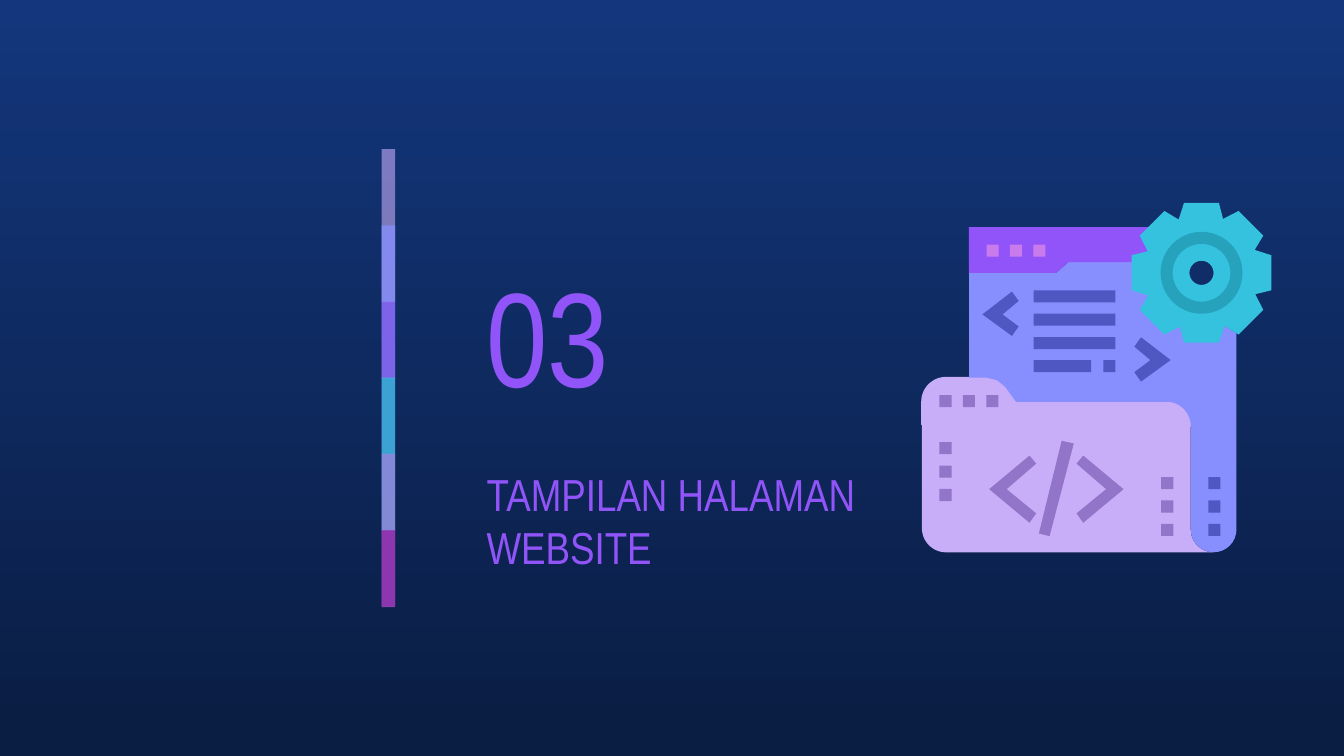
"""Build a section slide with a coloured bar, a numbered heading and a code folder illustration."""
from math import cos, radians, sin

from lxml import etree
from pptx import Presentation
from pptx.dml.color import RGBColor
from pptx.enum import shapes, text
from pptx.oxml.ns import qn
from pptx.util import Inches, Pt

NIGHT_TOP = RGBColor(0x13, 0x36, 0x7C)
NIGHT_BOTTOM = RGBColor(0x0A, 0x1D, 0x42)
LILAC = RGBColor(0xC8, 0xAE, 0xF8)
PERIWINKLE = RGBColor(0x87, 0x8F, 0xFF)
VIOLET = RGBColor(0x91, 0x54, 0xF8)
CYAN = RGBColor(0x35, 0xC2, 0xDF)
TEAL = RGBColor(0x26, 0xA2, 0xBC)
PINK = RGBColor(0xCA, 0x7B, 0xEB)
MAGENTA = RGBColor(0x97, 0x2C, 0xB4)
INDIGO = RGBColor(0x4F, 0x57, 0xC3)
PLUM = RGBColor(0x92, 0x75, 0xC8)


def paint(shape, color):
    shape.shadow.inherit = False
    shape.fill.solid()
    shape.fill.fore_color.rgb = color
    shape.line.fill.background()
    return shape


def arc(x, y, radius, start, end, steps=16):
    angles = [radians(start + (end - start) * i / steps) for i in range(steps + 1)]
    return [(x + radius * cos(a), y + radius * sin(a)) for a in angles]


deck = Presentation()
deck.slide_width = Inches(10)
deck.slide_height = deck.slide_width * 9 // 16
slide = deck.slides.add_slide(deck.slide_layouts[0])
night = slide.background.fill
night.gradient()
night.gradient_angle = 270
for stop, color, position in zip(night.gradient_stops, (NIGHT_TOP, NIGHT_BOTTOM), (0, 1)):
    stop.color.rgb = color
    stop.position = position

bands = [(LILAC, 59), (PERIWINKLE, 74), (VIOLET, 53), (CYAN, 76), (PINK, 56), (MAGENTA, 74)]
for i, (color, opacity) in enumerate(bands):
    height = 0.57 if color == MAGENTA else 1.14
    band = paint(slide.shapes.add_shape(
        shapes.MSO_SHAPE.RECTANGLE, Inches(2.84), Inches(1.11 + 0.567 * i),
        Inches(0.1), Inches(height)), color)
    tint = band._element.spPr.find(".//" + qn("a:srgbClr"))
    etree.SubElement(tint, qn("a:alpha"), val=str(opacity * 1000))

heading, number = slide.placeholders
for holder, wording, size, top, width, height in [
    (number, "03", 72, 1.81, 1.75, 1.35),
    (heading, "TAMPILAN HALAMAN WEBSITE", 24, 3.15, 3.02, 1.44),
]:
    holder.left, holder.top = Inches(3.52), Inches(top)
    holder.width, holder.height = Inches(width), Inches(height)
    frame = holder.text_frame
    frame.text = wording
    frame.word_wrap = True
    frame.auto_size = text.MSO_AUTO_SIZE.NONE
    frame.vertical_anchor = text.MSO_ANCHOR.MIDDLE
    frame.margin_left = frame.margin_right = Inches(0.1)
    frame.margin_top = frame.margin_bottom = Inches(0.1)
    paragraph = frame.paragraphs[0]
    paragraph.alignment = text.PP_ALIGN.LEFT
    paragraph.space_before = Pt(0)
    paragraph.font.name = "Arial Narrow"
    paragraph.font.size = Pt(size)
    paragraph.font.color.rgb = VIOLET

folder_edge = [(7.34, 2.81), (7.42, 2.83), (7.48, 2.88), (7.56, 2.99),
               *arc(8.68, 3.17, 0.18, 270, 360)]
folder_front = [(6.86, 3.16), *arc(7.04, 3.93, 0.18, 180, 90),
                *arc(9.03, 3.94, 0.17, 90, 180), (8.86, 3.16)]
folder_tab = [(6.86, 3.16), *arc(7.04, 2.99, 0.18, 180, 270), *folder_edge]
sheet = [(7.95, 1.95), (7.86, 2.03), (7.21, 2.03), (7.21, 2.81), *folder_edge,
         *arc(9.03, 3.94, 0.17, 180, 0), (9.2, 2.48), (9.1, 2.42), (9.06, 2.54),
         (8.82, 2.54), (8.78, 2.42), (8.67, 2.48), (8.49, 2.31), (8.55, 2.19),
         (8.43, 2.16), (8.43, 1.95)]
header = [(7.21, 1.69), (7.21, 2.03), (7.86, 2.03), (7.95, 1.95), (8.43, 1.95),
          (8.43, 1.9), (8.55, 1.87), (8.49, 1.76), (8.55, 1.69)]
gear_x, gear_y = 8.94, 2.03
tooth = [(-0.13, -0.52), (0.13, -0.52), (0.16, -0.4)]
gear = [(gear_x + x * cos(a) - y * sin(a), gear_y + x * sin(a) + y * cos(a))
        for a in map(radians, range(0, 360, 45)) for x, y in tooth]
gear_hole = arc(gear_x, gear_y, 0.26, 360, 0, 48)
slash = [(7.9, 3.28), (7.73, 3.97), (7.81, 3.99), (7.99, 3.3)]
outlines = [(LILAC, [folder_front]), (LILAC, [folder_tab]), (PERIWINKLE, [sheet]),
            (VIOLET, [header]), (CYAN, [gear, gear_hole]), (PLUM, [slash])]

small_bracket = [(0.22, -0.17), (0, 0), (0.22, 0.16), (0.27, 0.09), (0.15, 0), (0.27, -0.1)]
large_bracket = [(0.3, -0.25), (0, 0), (0.3, 0.25), (0.35, 0.18), (0.13, 0), (0.35, -0.19)]
for color, bracket, tip_x, tip_y, side in [
    (INDIGO, small_bracket, 7.31, 2.34, 1), (INDIGO, small_bracket, 8.71, 2.68, -1),
    (PLUM, large_bracket, 7.36, 3.64, 1), (PLUM, large_bracket, 8.36, 3.64, -1),
]:
    outlines.append((color, [[(tip_x + side * x, tip_y + y) for x, y in bracket]]))

for color, contours in outlines:
    pen = None
    for contour in contours:
        first, *rest = [(Inches(x), Inches(y)) for x, y in contour]
        if pen is None:
            pen = slide.shapes.build_freeform(*first)
        else:
            pen.move_to(*first)
        pen.add_line_segments(rest, close=True)
    piece = paint(pen.convert_to_shape(), color)
    if contours[0] is folder_tab:
        piece.line.color.rgb = LILAC
        piece.line.width = Pt(0.75)

for color, radius, thickness in [(CYAN, 0.26, 0.17), (TEAL, 0.305, 0.09)]:
    ring = paint(slide.shapes.add_shape(
        shapes.MSO_SHAPE.DONUT, Inches(gear_x - radius), Inches(gear_y - radius),
        Inches(2 * radius), Inches(2 * radius)), color)
    ring.adjustments[0] = thickness / (2 * radius)

gap = 0.174
blocks = [(INDIGO, 7.69, 2.16 + gap * i, 0.61) for i in range(3)]
blocks += [(INDIGO, 7.69, 2.68, 0.43), (INDIGO, 8.21, 2.68, 0.09)]
for color, left, top in [(PINK, 7.34, 1.82), (PLUM, 6.99, 2.94)]:
    blocks += [(color, left + gap * i, top, 0.09) for i in range(3)]
for color, left, top in [(PLUM, 6.99, 3.29), (PLUM, 8.64, 3.55), (INDIGO, 8.99, 3.55)]:
    blocks += [(color, left, top + gap * i, 0.09) for i in range(3)]
for color, left, top, width in blocks:
    paint(slide.shapes.add_shape(
        shapes.MSO_SHAPE.RECTANGLE, Inches(left), Inches(top),
        Inches(width), Inches(0.09)), color)

deck.save("out.pptx")
